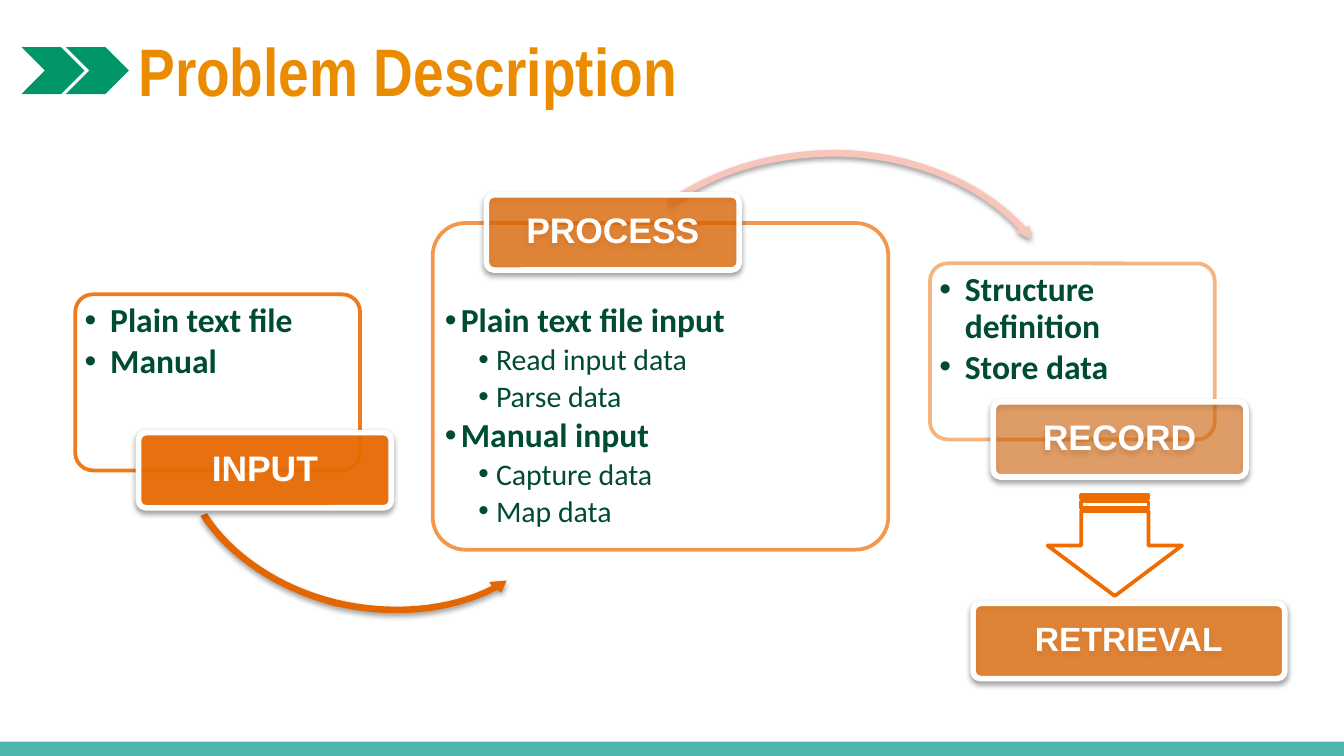
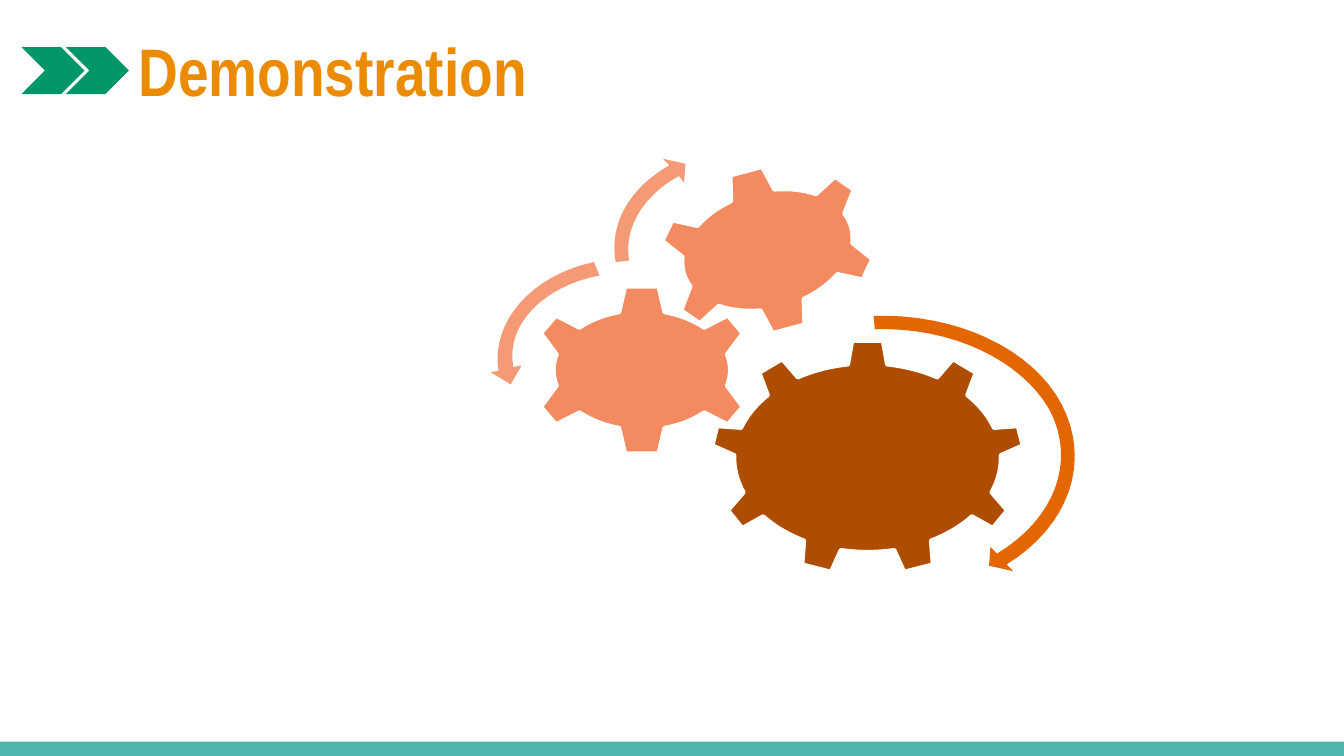
from lxml import etree
from pptx import Presentation
from pptx.dml.color import RGBColor
from pptx.enum.shapes import MSO_SHAPE
from pptx.enum.text import MSO_ANCHOR, MSO_AUTO_SIZE, PP_ALIGN
from pptx.oxml.ns import qn
from pptx.util import Pt

CHEVRON, RECT, ROUNDED = MSO_SHAPE.CHEVRON, MSO_SHAPE.RECTANGLE, MSO_SHAPE.ROUNDED_RECTANGLE
STRIPED_ARROW = MSO_SHAPE.STRIPED_RIGHT_ARROW
GEAR_6, GEAR_9 = MSO_SHAPE.GEAR_6, MSO_SHAPE.GEAR_9
LEFT, CENTER = PP_ALIGN.LEFT, PP_ALIGN.CENTER
TOP, MIDDLE = MSO_ANCHOR.TOP, MSO_ANCHOR.MIDDLE

COLORS = {
    "band": "4DB6AC", "title": "EB8C00", "chevron": "009668", "white": "FFFFFF",
    "orange": "EF6C00", "list": "004B34", "arrow": "E36600", "pale arrow": "F7C5B9",
    "big gear": "AE4D00", "small gear": "F48A5F", "small arrow": "F59A76",
}
SLIDE_W, SLIDE_H = 720, 405
BAND_BOX = (0, 397.4, SLIDE_W, 7.6)
TITLE_BOX = (69.1, 10.8, 627.8, 41.8)
CHEVRON_BOXES = [(x, 25.2, 33.8, 25.2) for x in (11.5, 35.3)]

# Content of "Problem Description"; arrow outlines hold points and
# cubic curves (two control points and an end point)
LABEL_W, LABEL_H = 135.4, 40.3
ROUNDING = 0.1
INPUT_ARROW = [
    (107.3, 276.5), (110.9, 275),
    (124.6, 296.6, 150.5, 313.9, 180, 321.1), (209.5, 328.3, 240.5, 325.4, 263.5, 313.9),
    (262.1, 311.8), (271.4, 311), (268.6, 317.5), (266.4, 316.1),
    (241.9, 329, 210.2, 331.9, 179.3, 324.7), (148.3, 316.8, 121.7, 298.8, 107.3, 276.5),
]
PROCESS_ARROW = [
    (357.1, 108),
    (383, 88.6, 420.5, 78.5, 457.2, 80.6), (494.6, 83.5, 528.5, 98.6, 549.4, 121.7),
    (551.5, 121), (552.2, 128.2), (543.6, 123.8), (545.8, 123.1),
    (525.6, 100.8, 493.2, 87.1, 457.2, 84.2), (421.2, 82.1, 385.2, 91.4, 360, 110.2),
]
STAGES = [
    {"name": "INPUT", "panel": (40.3, 157.7, 152.6, 94.3), "label": (74.2, 231.8),
     "insets": (5, 5), "indents": [(13.7, 13.7)], "panel line": 90, "label fill": 90,
     "items": [(0, "Plain text file"), (0, "Manual")],
     "arrow": (INPUT_ARROW, "arrow")},
    {"name": "PROCESS", "panel": (231.8, 119.5, 244.1, 175), "label": (260.6, 104.4),
     "insets": (6.5, 43.2), "indents": [(8.6, 8.6), (27.4, 9.4)],
     "panel line": 70, "label fill": 70,
     "items": [(0, "Plain text file input"), (1, "Read input data"), (1, "Parse data"),
               (0, "Manual input"), (1, "Capture data"), (1, "Map data")],
     "arrow": (PROCESS_ARROW, "pale arrow")},
    {"name": "RECORD", "panel": (498.2, 141.1, 152.6, 94.3), "label": (532.1, 215.3),
     "insets": (5, 5), "indents": [(13.7, 13.7)], "panel line": 50, "label fill": 50,
     "items": [(0, "Structure definition"), (0, "Store data")],
     "arrow": None},
]
RETRIEVAL = ("RETRIEVAL", (521.3, 323.3, 167, LABEL_H), 70, 18)
DOWN_ARROW_BOX = (570.2, 256.3, 54, 72)

# Content of "Demonstration"
GEARS = [
    (GEAR_9, (380.9, 182.2, 167.8, 126), 0, "big gear"),
    (GEAR_6, (283, 152.6, 121.7, 91.4), 0, "small gear"),
    (GEAR_6, (351.4, 89.3, 119.5, 89.3), -15, "small gear"),
]
GEAR_ARROWS = [
    ("arrow", [
        (468, 169.2),
        (511.9, 167.8, 553, 186.5, 568.8, 216.7), (584.6, 247, 573.1, 281.5, 539.3, 302.4),
        (542.9, 306), (529.9, 303.1), (530.6, 293), (534.2, 296.6),
        (565.2, 277.9, 576.7, 247, 562.3, 219.6), (547.2, 193, 509.8, 175, 468.7, 176.4)]),
    ("small arrow", [
        (318.2, 140.4), (321.1, 147.6), (290.9, 153.4, 270.7, 174.2, 275, 196.6),
        (279.4, 195.8), (273.6, 205.9), (262.8, 199.4), (267.1, 198.7),
        (262.8, 172.8, 284.4, 147.6, 318.2, 140.4)]),
    ("small arrow", [
        (329.8, 140.4), (326.2, 120.2, 337, 100.8, 358.6, 88.6),
        (355, 85), (367.2, 87.8), (366.5, 97.9), (363.6, 94.3),
        (344.2, 105.1, 334.1, 122.4, 337, 139.7)]),
]


def rgb(color):
    return RGBColor.from_string(COLORS[color])


def paint(shape, fill, line=None, width=0):
    shape.shadow.inherit = False
    shape.fill.solid()
    shape.fill.fore_color.rgb = rgb(fill)
    if line:
        shape.line.color.rgb = rgb(line)
        shape.line.width = Pt(width)
    else:
        shape.line.fill.background()


def add_preset(slide, preset, box, fill, line=None, width=0):
    shape = slide.shapes.add_shape(preset, *map(Pt, box))
    paint(shape, fill, line, width)
    return shape


def set_opacity(shape, part, percent):
    for color in shape.element.spPr.find(qn(part)).iter(qn("a:srgbClr")):
        etree.SubElement(color, qn("a:alpha"), val=str(percent * 1000))


def add_shadow(shape):
    effects = shape.element.spPr.find(qn("a:effectLst"))
    shadow = etree.SubElement(effects, qn("a:outerShdw"), blurRad=str(Pt(3.1)),
                              dist=str(Pt(1.6)), dir="5400000", rotWithShape="0")
    color = etree.SubElement(shadow, qn("a:srgbClr"), val="000000")
    etree.SubElement(color, qn("a:alpha"), val="38000")


def set_frame(shape, insets, anchor):
    frame = shape.text_frame
    frame.word_wrap = True
    frame.auto_size = MSO_AUTO_SIZE.NONE
    frame.vertical_anchor = anchor
    frame.margin_left, frame.margin_top, frame.margin_right, frame.margin_bottom = map(Pt, insets)
    return frame


def style(paragraph, font_name, size, color, align, bold=True):
    paragraph.alignment = align
    for run in paragraph.runs:
        run.font.name, run.font.size, run.font.bold = font_name, Pt(size), bold
        run.font.color.rgb = rgb(color)


def add_outline(slide, outline, color, steps=16):
    points = []
    for part in outline:
        if len(part) == 2:
            points.append(part)
            continue
        (x0, y0), (x1, y1, x2, y2, x3, y3) = points[-1], part
        for step in range(1, steps + 1):
            t = step / steps
            a, b, c, d = (1 - t) ** 3, 3 * t * (1 - t) ** 2, 3 * t * t * (1 - t), t ** 3
            points.append((a * x0 + b * x1 + c * x2 + d * x3,
                           a * y0 + b * y1 + c * y2 + d * y3))
    corners = [(Pt(x), Pt(y)) for x, y in points]
    builder = slide.shapes.build_freeform(*corners[0])
    builder.add_line_segments(corners[1:], close=True)
    arrow = builder.convert_to_shape()
    paint(arrow, color)
    return arrow


def add_panel(slide, stage):
    panel = add_preset(slide, ROUNDED, stage["panel"], "white", "orange", 2)
    panel.adjustments[0] = ROUNDING
    set_opacity(panel, "a:solidFill", 90)
    set_opacity(panel, "a:ln", stage["panel line"])
    # A rounded rectangle already insets its text by 0.29 of the corner radius
    corner = 0.29 * ROUNDING * min(stage["panel"][2:])
    side, top = (inset - corner for inset in stage["insets"])
    frame = set_frame(panel, (side, top, side, side), TOP)
    for index, (level, item) in enumerate(stage["items"]):
        paragraph = frame.add_paragraph() if index else frame.paragraphs[0]
        paragraph.text = item
        paragraph.level = level
        paragraph.line_spacing = 0.9
        paragraph.space_before = Pt(2.5 if index else 0)
        style(paragraph, "Calibri", 16 if level else 18, "list", LEFT, bold=not level)
        margin, hanging = stage["indents"][level]
        properties = paragraph._p.get_or_add_pPr()
        properties.set("marL", str(Pt(margin)))
        properties.set("indent", str(-Pt(hanging)))
        etree.SubElement(properties, qn("a:buFont"), typeface="Arial")
        etree.SubElement(properties, qn("a:buChar"), char="•")


def add_label(slide, name, box, opacity, size=19):
    label = add_preset(slide, ROUNDED, box, "orange", "white", 3)
    label.adjustments[0] = ROUNDING
    set_opacity(label, "a:solidFill", opacity)
    add_shadow(label)
    frame = set_frame(label, (4, 3, 4, 3), MIDDLE)
    frame.text = name
    frame.paragraphs[0].line_spacing = 0.9
    style(frame.paragraphs[0], "Arial", size, "white", CENTER)


def add_titled_slide(deck, layout, heading):
    slide = deck.slides.add_slide(layout)
    title = slide.shapes.title
    title.left, title.top, title.width, title.height = map(Pt, TITLE_BOX)
    frame = set_frame(title, (5, 5, 5, 5), TOP)
    frame.text = heading
    style(frame.paragraphs[0], "Arial Narrow", 36, "title", LEFT)
    for box in CHEVRON_BOXES:
        add_preset(slide, CHEVRON, box, "chevron")
    return slide


def main():
    deck = Presentation()
    deck.slide_width, deck.slide_height = Pt(SLIDE_W), Pt(SLIDE_H)
    layout = deck.slide_layouts.get_by_name("Title Only")

    # Process diagram
    slide = add_titled_slide(deck, layout, "Problem Description")
    for stage in STAGES:
        add_panel(slide, stage)
        if stage["arrow"]:
            add_shadow(add_outline(slide, *stage["arrow"]))
        add_label(slide, stage["name"], (*stage["label"], LABEL_W, LABEL_H), stage["label fill"])
    add_preset(slide, STRIPED_ARROW, DOWN_ARROW_BOX, "white", "orange", 2).rotation = 90
    add_label(slide, *RETRIEVAL)

    # The bottom band belongs to the shared layout
    band = add_preset(slide, RECT, BAND_BOX, "band")
    layout.shapes.element.append(band.element)

    # Gears
    slide = add_titled_slide(deck, layout, "Demonstration")
    for preset, box, turn, color in GEARS:
        add_preset(slide, preset, box, color, "white", 2).rotation = turn
    for color, outline in GEAR_ARROWS:
        add_outline(slide, outline, color)

    deck.save("out.pptx")


if __name__ == "__main__":
    main()
